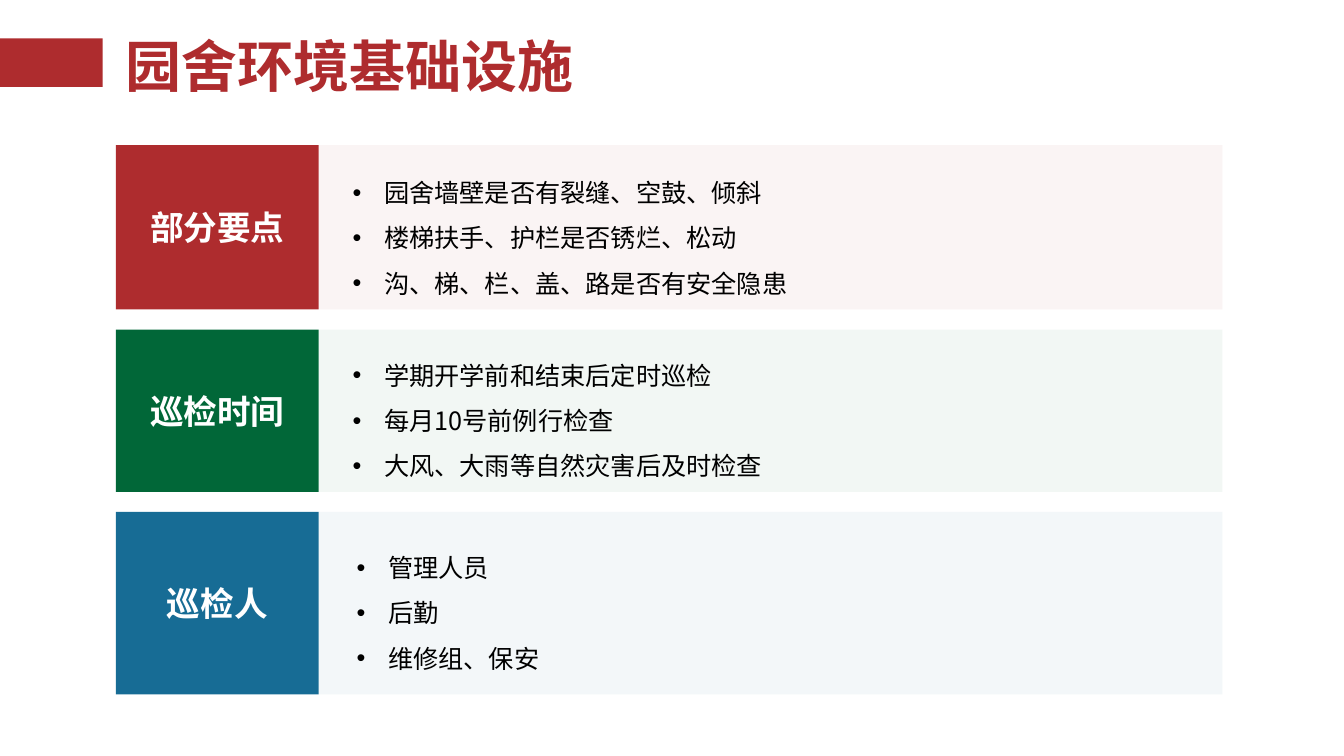
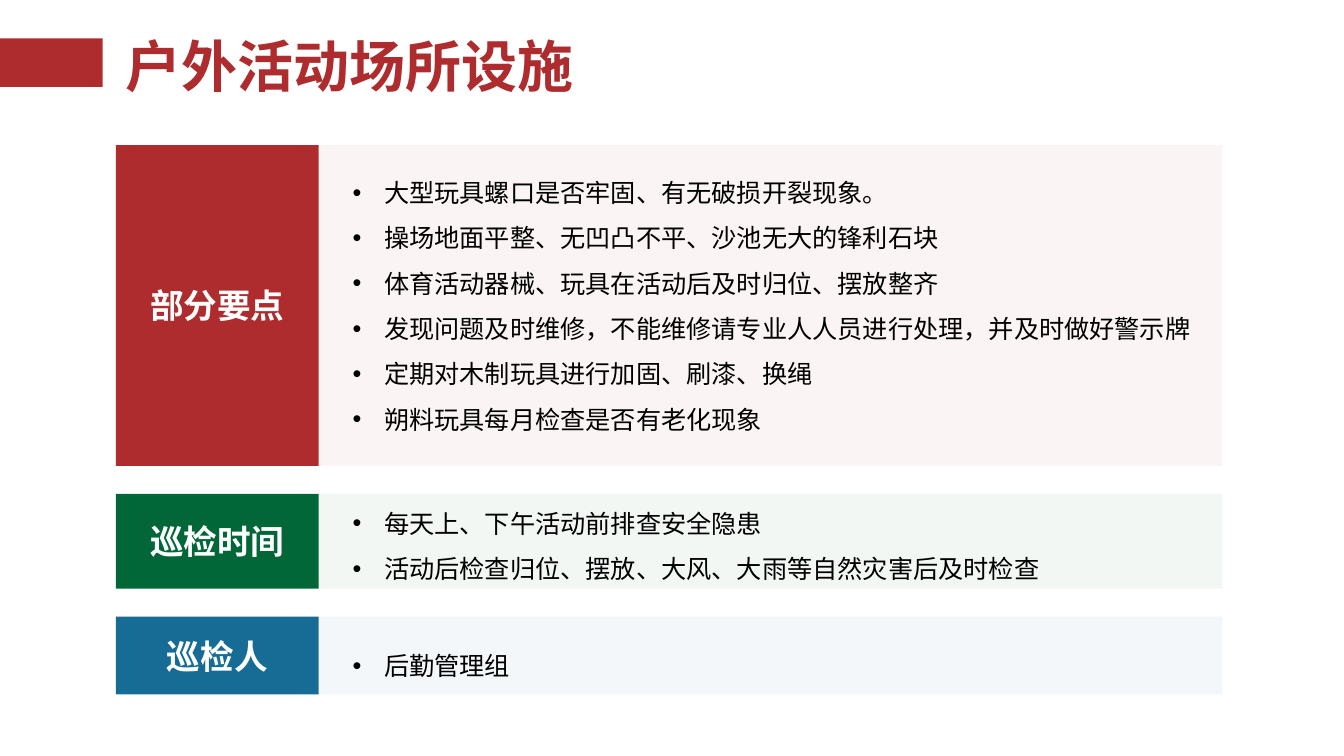
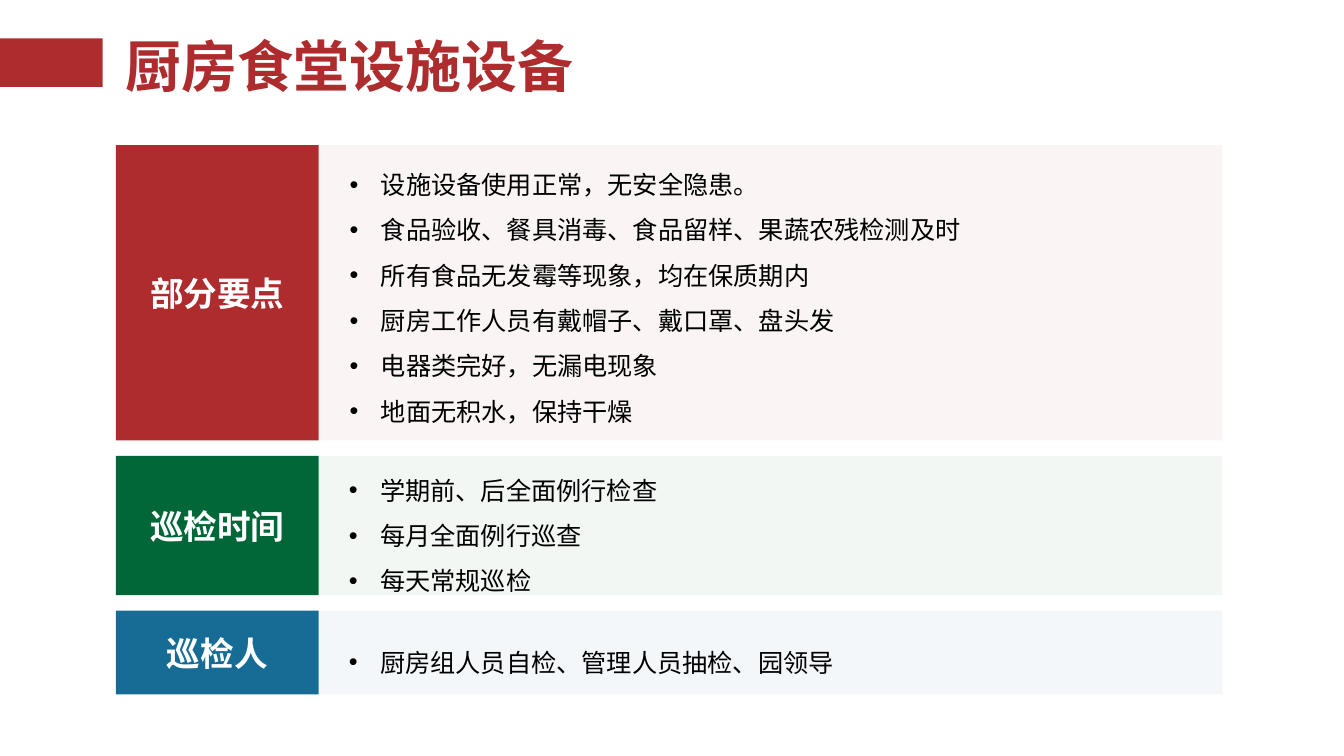
import pptx
import pptx.dml.color
import pptx.enum.shapes
import pptx.enum.text
import pptx.oxml
import pptx.oxml.ns
import pptx.util

Cm = pptx.util.Cm
Pt = pptx.util.Pt
RGBColor = pptx.dml.color.RGBColor
qn = pptx.oxml.ns.qn
Anchor = pptx.enum.text.MSO_ANCHOR
Align = pptx.enum.text.PP_ALIGN
Fit = pptx.enum.text.MSO_AUTO_SIZE

RED = RGBColor(0xAE, 0x2C, 0x2E)
GREEN = RGBColor(0x01, 0x67, 0x38)
BLUE = RGBColor(0x17, 0x6C, 0x95)
WHITE = RGBColor(0xFF, 0xFF, 0xFF)
BLACK = RGBColor(0, 0, 0)
FONT = "Noto Sans CJK SC"

# Centimetres
TOP, BOTTOM = 3.66, 17.5
LEFT, LABEL_W, PANEL_W = 2.92, 5.11, 22.78
LINE_H, PAD_H = 1.15, 0.13
INDENT = 0.79

BANDS = [("部分要点", RED), ("巡检时间", GREEN), ("巡检人", BLUE)]

# Each band: height, (text offset across, text offset down, text width), points
SLIDES = [
    ("园舍环境基础设施", [
        (4.14, (0.61, 0.3, 11.66), [
            "园舍墙壁是否有裂缝、空鼓、倾斜",
            "楼梯扶手、护栏是否锈烂、松动",
            "沟、梯、栏、盖、路是否有安全隐患"]),
        (4.09, (0.61, 0.26, 11.02), [
            "学期开学前和结束后定时巡检",
            "每月10号前例行检查",
            "大风、大雨等自然灾害后及时检查"]),
        (4.6, (0.71, 0.51, 11.02), ["管理人员", "后勤", "维修组、保安"]),
    ]),
    ("户外活动场所设施", [
        (8.08, (0.61, 0.3, 21.87), [
            "大型玩具螺口是否牢固、有无破损开裂现象。",
            "操场地面平整、无凹凸不平、沙池无大的锋利石块",
            "体育活动器械、玩具在活动后及时归位、摆放整齐",
            "发现问题及时维修，不能维修请专业人人员进行处理，并及时做好警示牌",
            "定期对木制玩具进行加固、刷漆、换绳",
            "朔料玩具每月检查是否有老化现象"]),
        (2.39, (0.61, -0.15, 21.46), [
            "每天上、下午活动前排查安全隐患",
            "活动后检查归位、摆放、大风、大雨等自然灾害后及时检查"]),
        (1.96, (0.61, 0.34, 11.02), ["后勤管理组"]),
    ]),
    ("厨房食堂设施设备", [
        (7.44, (0.53, 0.1, 16.76), [
            "设施设备使用正常，无安全隐患。",
            "食品验收、餐具消毒、食品留样、果蔬农残检测及时",
            "所有食品无发霉等现象，均在保质期内",
            "厨房工作人员有戴帽子、戴口罩、盘头发",
            "电器类完好，无漏电现象",
            "地面无积水，保持干燥"]),
        (3.51, (0.51, -0.03, 11.02), [
            "学期前、后全面例行检查", "每月全面例行巡查", "每天常规巡检"]),
        (2.11, (0.51, 0.41, 15.6), ["厨房组人员自检、管理人员抽检、园领导"]),
    ]),
]


def sub(node, tag, **attrs):
    child = pptx.oxml.parse_xml(
        f'<{tag} xmlns:a="http://schemas.openxmlformats.org/drawingml/2006/main"/>')
    for key, val in attrs.items():
        child.set(key, val)
    node.append(child)


def add_run(para, text, size, color, bold=False):
    run = para.add_run()
    run.text = text
    font = run.font
    font.size, font.bold = Pt(size), bold
    font.color.rgb = color
    font.name = FONT
    sub(font._element, "a:ea", typeface=FONT)


def add_rect(slide, left, top, width, height, color, alpha=None):
    """Add a plain rectangle; alpha is its opacity in percent."""
    rect = slide.shapes.add_shape(
        pptx.enum.shapes.MSO_SHAPE.RECTANGLE,
        Cm(left), Cm(top), Cm(width), Cm(height))
    rect.shadow.inherit = False
    rect.fill.solid()
    rect.fill.fore_color.rgb = color
    rect.line.fill.background()
    if alpha:
        tint = next(rect.element.spPr.iter(qn("a:srgbClr")))
        sub(tint, "a:alpha", val=str(alpha * 1000))
    return rect


def add_title(slide, text):
    title = slide.shapes.title
    title.left, title.top = Cm(LEFT), Cm(0.23)
    title.width, title.height = Cm(23.34), Cm(3.05)
    frame = title.text_frame
    frame.auto_size = Fit.NONE
    frame.vertical_anchor = Anchor.MIDDLE
    para = frame.paragraphs[0]
    para.alignment = Align.LEFT
    para.line_spacing = 0.9
    add_run(para, text, 40, RED, True)
    add_rect(slide, 0, 0.97, 2.59, 1.22, RED)


def add_list(slide, left, top, width, points):
    box = slide.shapes.add_textbox(
        Cm(left), Cm(top), Cm(width), Cm(LINE_H * len(points) + PAD_H))
    frame = box.text_frame
    frame.word_wrap = True
    frame.auto_size = Fit.SHAPE_TO_FIT_TEXT
    for i, point in enumerate(points):
        para = frame.add_paragraph() if i else frame.paragraphs[0]
        para.line_spacing = 1.5
        props = para._p.get_or_add_pPr()
        props.set("marL", str(Cm(INDENT)))
        props.set("indent", str(-Cm(INDENT)))
        sub(props, "a:buFont", typeface="Arial")
        sub(props, "a:buChar", char="•")
        add_run(para, point, 18, BLACK)


def add_band(slide, top, height, name, color, spot, points):
    edge = LEFT + LABEL_W
    add_rect(slide, edge, top, PANEL_W, height, color, 5)
    label = add_rect(slide, LEFT, top, LABEL_W, height, color)
    label.text_frame.vertical_anchor = Anchor.MIDDLE
    para = label.text_frame.paragraphs[0]
    para.alignment = Align.CENTER
    add_run(para, name, 24, WHITE, True)
    across, down, width = spot
    add_list(slide, edge + across, top + down, width, points)


def main():
    deck = pptx.Presentation()
    deck.slide_width, deck.slide_height = Cm(33.87), Cm(19.05)
    for title, rows in SLIDES:
        slide = deck.slides.add_slide(deck.slide_layouts[5])
        add_title(slide, title)
        used = sum(row[0] for row in rows)
        gap = (BOTTOM - TOP - used) / (len(rows) - 1)
        top = TOP
        for (name, color), (height, spot, points) in zip(BANDS, rows):
            add_band(slide, top, height, name, color, spot, points)
            top += height + gap
    deck.save("out.pptx")


if __name__ == "__main__":
    main()
